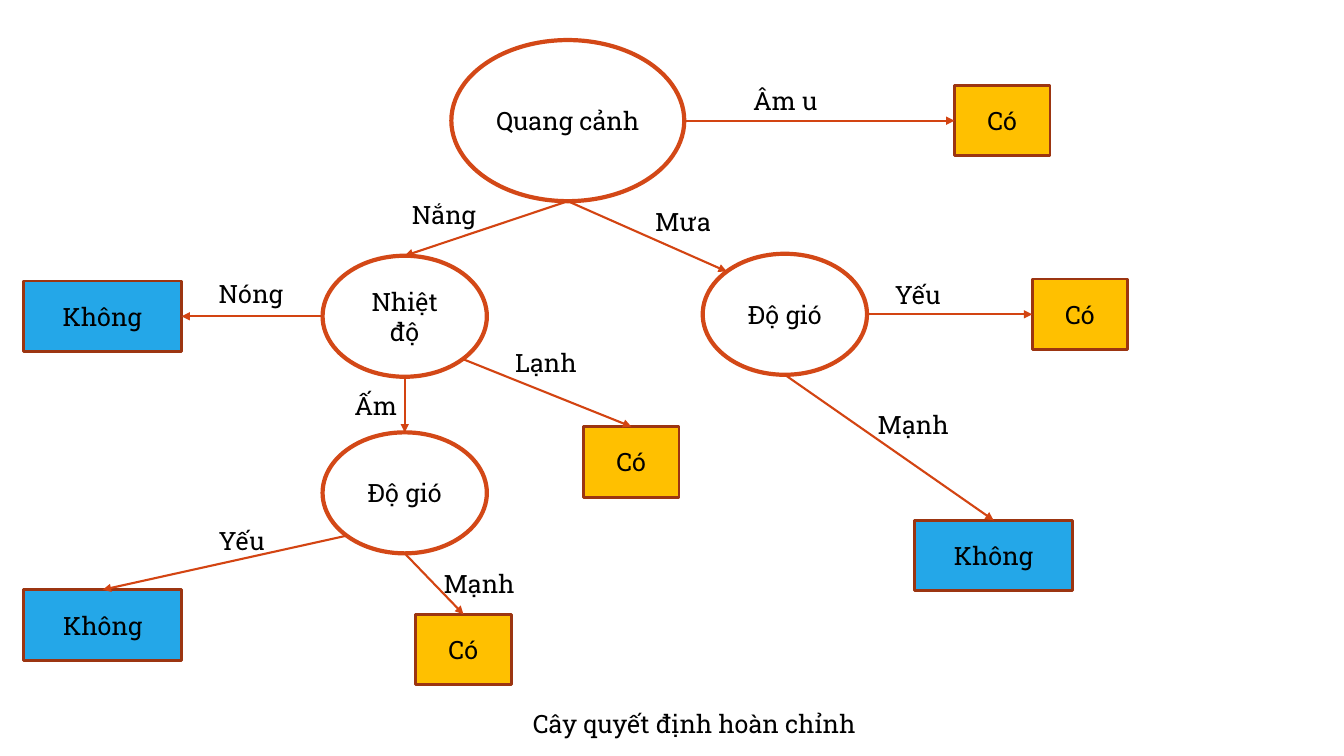
from dataclasses import dataclass
from enum import Enum
from math import sqrt

from lxml.etree import SubElement
from pptx import Presentation
from pptx.dml.color import RGBColor as Rgb
from pptx.enum.shapes import MSO_CONNECTOR as Connector, MSO_SHAPE as Preset
from pptx.enum.text import MSO_ANCHOR as Anchor, PP_ALIGN as Align
from pptx.oxml.ns import qn
from pptx.slide import Slide
from pptx.text.text import TextFrame
from pptx.util import Cm, Pt


@dataclass(frozen=True)
class Theme:
    font: str = "Roboto Slab"
    text_size: float = 18
    text: str = "000000"
    question_fill: str = "FFFFFF"
    question_line: str = "D34817"
    yes_fill: str = "FFC000"
    no_fill: str = "24A7E8"
    answer_line: str = "9C3511"
    branch: str = "D34412"


THEME = Theme()


@dataclass(frozen=True)
class Style:
    preset: Preset
    width: float
    height: float
    fill: str
    line: str
    line_width: float


ROOT = Style(Preset.OVAL, 5.87, 4.06, THEME.question_fill, THEME.question_line, 3)
QUESTION = Style(Preset.OVAL, 4.14, 3.05, THEME.question_fill, THEME.question_line, 3)
YES = Style(Preset.RECTANGLE, 2.41, 1.78, THEME.yes_fill, THEME.answer_line, 2)
NO = Style(Preset.RECTANGLE, 3.99, 1.78, THEME.no_fill, THEME.answer_line, 2)

DIAGONAL = sqrt(0.5) / 2


class Side(Enum):
    """Point on a node's outline, as a share of its size from the centre."""

    TOP = (0, -0.5)
    BOTTOM = (0, 0.5)
    LEFT = (-0.5, 0)
    RIGHT = (0.5, 0)
    TOP_LEFT = (-DIAGONAL, -DIAGONAL)
    BOTTOM_LEFT = (-DIAGONAL, DIAGONAL)
    BOTTOM_RIGHT = (DIAGONAL, DIAGONAL)


@dataclass(frozen=True)
class Node:
    text: str
    style: Style
    x: float  # centre, cm
    y: float

    def point(self, side: Side) -> tuple[Cm, Cm]:
        across, down = side.value
        return (Cm(self.x + across * self.style.width),
                Cm(self.y + down * self.style.height))


@dataclass(frozen=True)
class Label:
    text: str
    left: float
    top: float
    width: float


@dataclass(frozen=True)
class Branch:
    parent: Node
    leaves: Side
    child: Node
    enters: Side
    label: Label


outlook = Node("Quang cảnh", ROOT, 14.31, 3.04)
temperature = Node("Nhiệt độ", QUESTION, 10.2, 7.97)
warm_wind = Node("Độ gió", QUESTION, 10.2, 12.42)
rain_wind = Node("Độ gió", QUESTION, 19.78, 7.92)
overcast_yes = Node("Có", YES, 25.26, 3.04)
hot_no = Node("Không", NO, 2.58, 7.97)
cold_yes = Node("Có", YES, 15.91, 11.64)
warm_weak_no = Node("Không", NO, 2.59, 15.75)
warm_strong_yes = Node("Có", YES, 11.68, 16.37)
rain_weak_yes = Node("Có", YES, 27.22, 7.92)
rain_strong_no = Node("Không", NO, 25.04, 14)

BRANCHES = [
    Branch(outlook, Side.BOTTOM, temperature, Side.TOP, Label("Nắng", 10.13, 4.91, 2.2)),
    Branch(outlook, Side.BOTTOM, rain_wind, Side.TOP_LEFT, Label("Mưa", 16.26, 5.08, 1.95)),
    Branch(outlook, Side.RIGHT, overcast_yes, Side.LEFT, Label("Âm u", 18.73, 2.03, 2.2)),
    Branch(temperature, Side.LEFT, hot_no, Side.RIGHT, Label("Nóng", 5.26, 6.9, 2.2)),
    Branch(temperature, Side.BOTTOM, warm_wind, Side.TOP, Label("Ấm", 8.68, 9.7, 1.65)),
    Branch(temperature, Side.BOTTOM_RIGHT, cold_yes, Side.TOP, Label("Lạnh", 12.73, 8.62, 2.1)),
    Branch(warm_wind, Side.BOTTOM_LEFT, warm_weak_no, Side.TOP, Label("Yếu", 5.26, 13.11, 1.7)),
    Branch(warm_wind, Side.BOTTOM, warm_strong_yes, Side.TOP, Label("Mạnh", 10.93, 14.2, 2.35)),
    Branch(rain_wind, Side.RIGHT, rain_weak_yes, Side.LEFT, Label("Yếu", 22.3, 6.92, 1.7)),
    Branch(rain_wind, Side.BOTTOM, rain_strong_no, Side.TOP, Label("Mạnh", 21.87, 10.19, 2.35)),
]
CAPTION = Label("Cây quyết định hoàn chỉnh", 13.18, 17.73, 9.1)
LABEL_HEIGHT = 1.02


def write(frame: TextFrame, text: str, *, align: Align = Align.LEFT,
          anchor: Anchor = Anchor.TOP, wrap: bool = False) -> None:
    frame.word_wrap = wrap
    frame.vertical_anchor = anchor
    paragraph = frame.paragraphs[0]
    paragraph.alignment = align
    run = paragraph.add_run()
    run.text = text
    run.font.name = THEME.font
    run.font.size = Pt(THEME.text_size)
    run.font.color.rgb = Rgb.from_string(THEME.text)


def draw_node(slide: Slide, node: Node) -> None:
    style = node.style
    shape = slide.shapes.add_shape(
        style.preset, Cm(node.x - style.width / 2), Cm(node.y - style.height / 2),
        Cm(style.width), Cm(style.height))
    shape.shadow.inherit = False
    shape.fill.solid()
    shape.fill.fore_color.rgb = Rgb.from_string(style.fill)
    shape.line.color.rgb = Rgb.from_string(style.line)
    shape.line.width = Pt(style.line_width)
    write(shape.text_frame, node.text, align=Align.CENTER, anchor=Anchor.MIDDLE, wrap=True)


def draw_label(slide: Slide, label: Label) -> None:
    box = slide.shapes.add_textbox(
        Cm(label.left), Cm(label.top), Cm(label.width), Cm(LABEL_HEIGHT))
    write(box.text_frame, label.text)


def draw_branch(slide: Slide, branch: Branch) -> None:
    arrow = slide.shapes.add_connector(
        Connector.STRAIGHT, *branch.parent.point(branch.leaves),
        *branch.child.point(branch.enters))
    arrow.line.color.rgb = Rgb.from_string(THEME.branch)
    arrow.line.width = Pt(1.5)
    properties = arrow.element.spPr
    SubElement(properties.find(qn("a:ln")), qn("a:tailEnd"), type="triangle")
    SubElement(properties, qn("a:effectLst"))
    draw_label(slide, branch.label)


def main() -> None:
    deck = Presentation()
    deck.slide_width, deck.slide_height = Cm(33.87), Cm(19.05)
    slide = deck.slides.add_slide(deck.slide_layouts[6])
    draw_node(slide, outlook)
    for branch in BRANCHES:
        draw_node(slide, branch.child)
    for branch in BRANCHES:
        draw_branch(slide, branch)
    draw_label(slide, CAPTION)
    deck.save("out.pptx")


if __name__ == "__main__":
    main()
